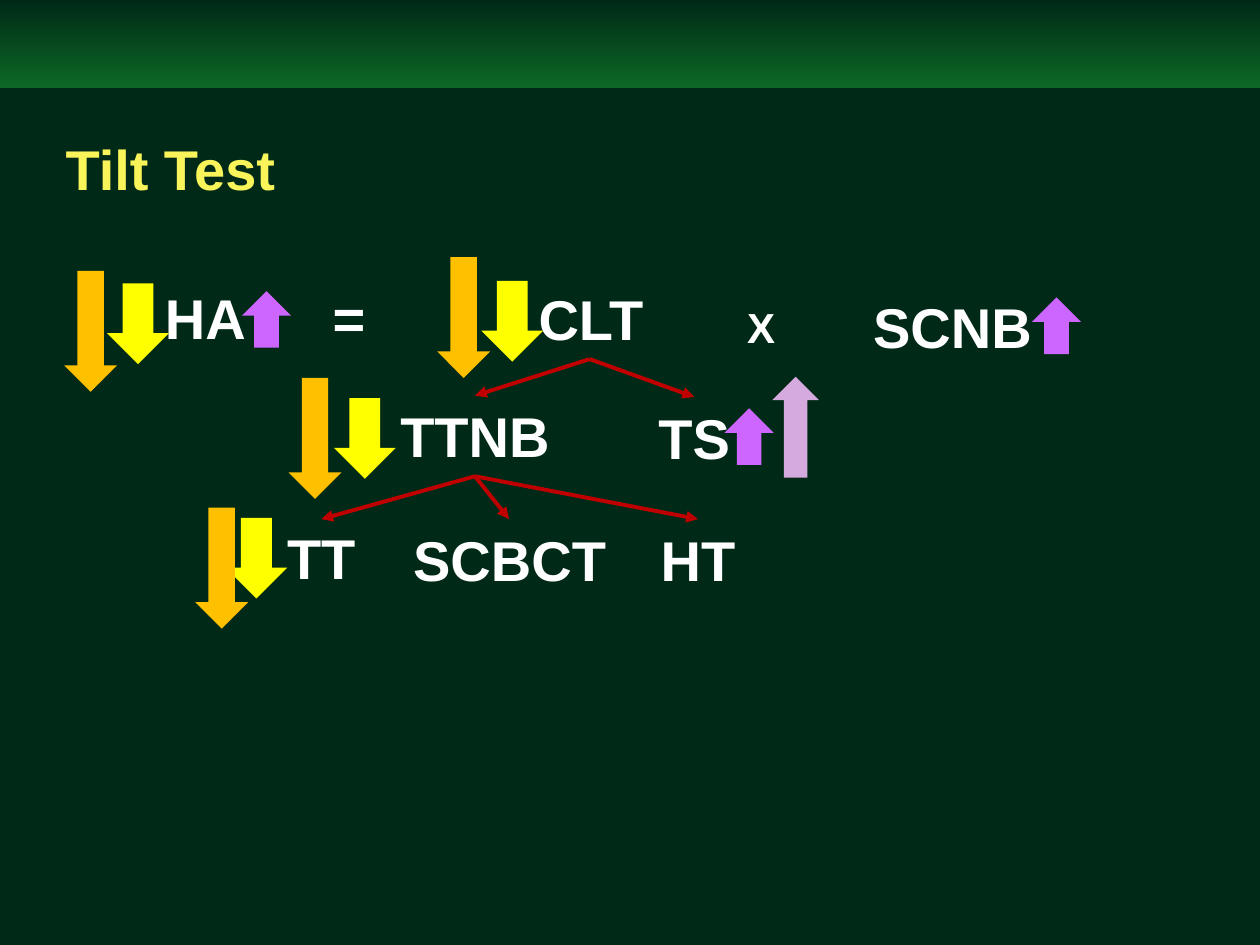
from lxml.etree import SubElement
from pptx import Presentation
from pptx.dml.color import RGBColor
from pptx.enum.shapes import MSO_CONNECTOR as Connector, MSO_SHAPE as Shape
from pptx.enum.text import MSO_ANCHOR as Anchor, PP_ALIGN as Align
from pptx.oxml.ns import qn
from pptx.util import Inches, Pt

BACKGROUND = RGBColor(0x00, 0x2A, 0x17)
GREEN = RGBColor(0x0D, 0x68, 0x26)
TITLE_YELLOW = RGBColor(0xF8, 0xF4, 0x5A)
WHITE = RGBColor(0xFF, 0xFF, 0xFF)
YELLOW = RGBColor(0xFF, 0xFF, 0x00)
ORANGE = RGBColor(0xFF, 0xC0, 0x00)
PURPLE = RGBColor(0xCC, 0x66, 0xFF)
LILAC = RGBColor(0xD5, 0xAA, 0xDE)
RED = RGBColor(0xC0, 0x00, 0x00)

LABEL_WIDTH = 1.52
LABELS = [
    ("HA", 0.87, 2.2, LABEL_WIDTH, 32),
    ("CLT", 3.93, 2.21, LABEL_WIDTH, 32),
    ("SCNB", 6.8, 2.27, LABEL_WIDTH, 32),
    ("X", 5.28, 2.34, LABEL_WIDTH, 24),
    ("=", 2.01, 2.2, LABEL_WIDTH, 32),
    ("TTNB", 3.01, 3.14, LABEL_WIDTH, 32),
    ("TS", 4.75, 3.15, LABEL_WIDTH, 32),
    ("TT", 1.79, 4.11, LABEL_WIDTH, 32),
    ("HT", 4.78, 4.12, LABEL_WIDTH, 32),
    ("SCBCT", 3.14, 4.12, 1.81, 32),
]
BRANCHES = [
    ((4.68, 2.85), [(3.77, 3.14), (5.51, 3.15)]),
    ((3.77, 3.78), [(2.55, 4.12), (4.04, 4.12), (5.54, 4.12)]),
]
YELLOW_ARROWS = [(1.79, 4.11), (2.65, 3.16), (3.82, 2.23), (0.85, 2.25)]
PURPLE_ARROWS = [(5.75, 3.24), (8.19, 2.36), (1.92, 2.31)]
ORANGE_ARROWS = [(2.29, 3), (1.55, 4.03), (3.47, 2.04), (0.51, 2.15)]
LILAC_ARROWS = [(6.13, 2.99)]


def format_text(shape, text, size, color, alignment):
    shape.text_frame.text = text
    shape.text_frame.word_wrap = True
    paragraph = shape.text_frame.paragraphs[0]
    paragraph.alignment = alignment
    font = paragraph.runs[0].font
    font.name = "Arial"
    font.size = Pt(size)
    font.bold = True
    font.color.rgb = color


def add_band(slide):
    band = slide.shapes.add_shape(Shape.RECTANGLE, 0, 0, Inches(10), Inches(0.7))
    band.shadow.inherit = False
    band.line.fill.background()
    band.fill.gradient()
    band.fill.gradient_angle = 90
    for stop, color in zip(band.fill.gradient_stops, (GREEN, BACKGROUND)):
        stop.color.rgb = color


def set_title(slide, text):
    title = slide.shapes.title
    title.left, title.top = Inches(0.42), Inches(0.73)
    title.width, title.height = Inches(9.26), Inches(1.21)
    format_text(title, text, 32, TITLE_YELLOW, Align.LEFT)
    title.text_frame.vertical_anchor = Anchor.MIDDLE


def add_label(slide, text, left, top, width, size):
    height = 0.64 if size == 32 else 0.5
    label = slide.shapes.add_textbox(
        Inches(left), Inches(top), Inches(width), Inches(height)
    )
    format_text(label, text, size, WHITE, Align.CENTER)


def add_block_arrows(slide, kind, positions, width, height, color):
    for left, top in positions:
        arrow = slide.shapes.add_shape(
            kind, Inches(left), Inches(top), Inches(width), Inches(height)
        )
        arrow.shadow.inherit = False
        arrow.fill.solid()
        arrow.fill.fore_color.rgb = color
        arrow.line.fill.background()


def add_branch(slide, start, end):
    branch = slide.shapes.add_connector(
        Connector.STRAIGHT, *(Inches(value) for value in start + end)
    )
    branch.line.color.rgb = RED
    branch.line.width = Pt(2.25)
    properties = branch.element.spPr
    SubElement(properties.find(qn("a:ln")), qn("a:tailEnd"), type="triangle")
    SubElement(properties, qn("a:effectLst"))


def main():
    presentation = Presentation()
    presentation.slide_width = Inches(10)
    presentation.slide_height = Inches(7.5)
    slide = presentation.slides.add_slide(presentation.slide_layouts[5])
    slide.background.fill.solid()
    slide.background.fill.fore_color.rgb = BACKGROUND

    add_band(slide)
    set_title(slide, "Tilt Test")
    for label in LABELS:
        add_label(slide, *label)
    add_block_arrows(slide, Shape.DOWN_ARROW, YELLOW_ARROWS, 0.49, 0.64, YELLOW)
    for start, ends in BRANCHES:
        for end in ends:
            add_branch(slide, start, end)
    add_block_arrows(slide, Shape.UP_ARROW, PURPLE_ARROWS, 0.39, 0.45, PURPLE)
    add_block_arrows(slide, Shape.DOWN_ARROW, ORANGE_ARROWS, 0.42, 0.96, ORANGE)
    add_block_arrows(slide, Shape.UP_ARROW, LILAC_ARROWS, 0.37, 0.8, LILAC)

    presentation.save("out.pptx")


if __name__ == "__main__":
    main()
